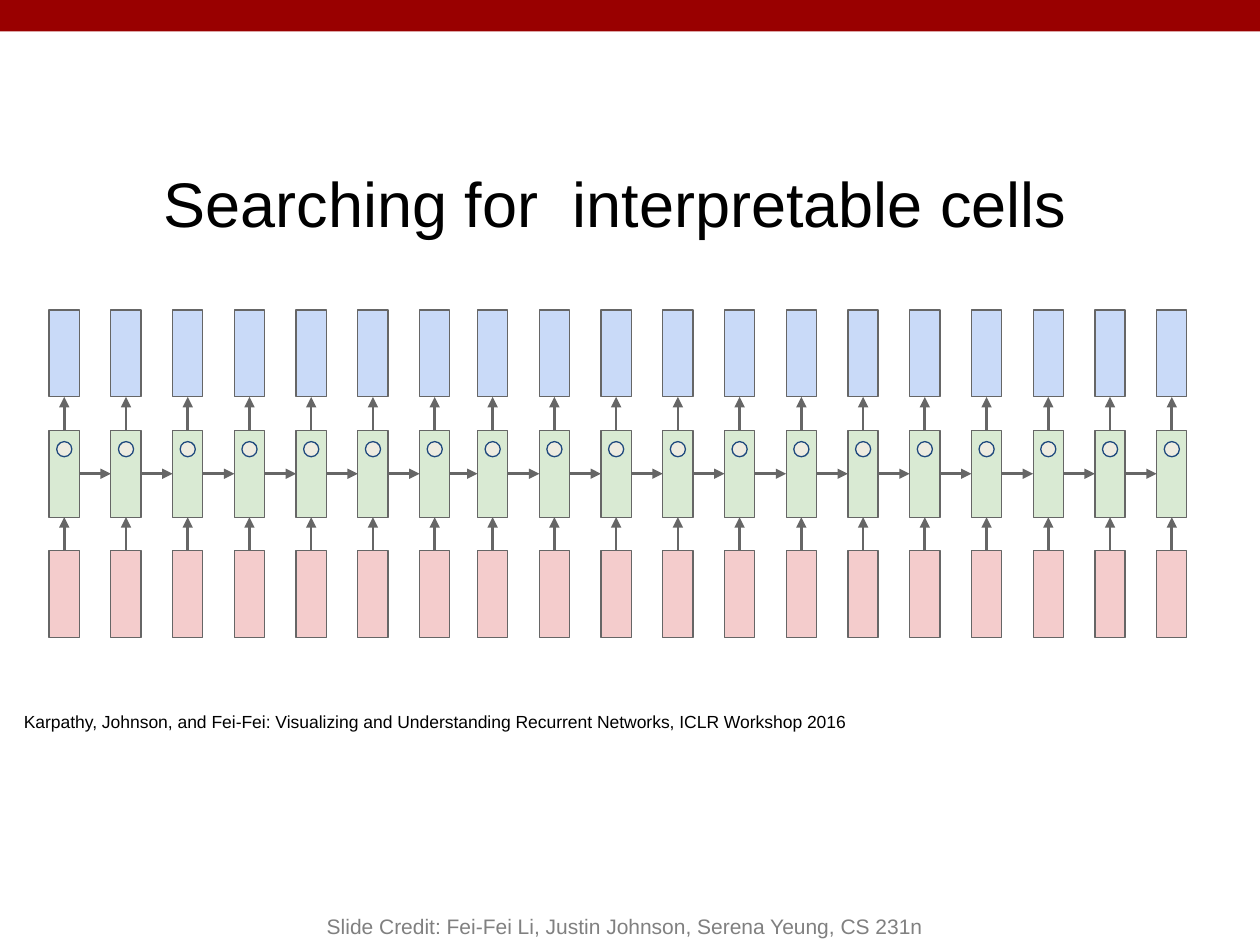
from pptx import Presentation
from pptx.dml.color import RGBColor as RGB
from pptx.enum.shapes import MSO_CONNECTOR as Link, MSO_SHAPE as Kind
from pptx.enum.text import MSO_ANCHOR as Anchor, PP_ALIGN as Align
from pptx.oxml.ns import qn
from pptx.util import Inches, Pt
from lxml.etree import SubElement

# Content: text, box, inset, size, colour, alignment, anchor
TEXTS = [
    ("Searching for  interpretable cells",
     (1.2, 1.21, 8.29, 0.66), 0.1, "title", "ink", Align.LEFT, Anchor.TOP),
    ("Karpathy, Johnson, and Fei-Fei: Visualizing and Understanding "
     "Recurrent Networks, ICLR Workshop 2016",
     (0.09, 5.56, 9.21, 0.38), 0.1, "cite", "ink", Align.LEFT, Anchor.TOP),
    ("Slide Credit: Fei-Fei Li, Justin Johnson, Serena Yeung, CS 231n",
     (2, 7, 5.92, 0.5), 0.05, "credit", "grey", Align.CENTER, Anchor.BOTTOM),
]
LAYERS = ["output", "hidden", "input"]  # top to bottom
GROUPS = [(0.39, 7), (3.79, 12)]        # left edge, number of steps

THEME = {
    "font": "Arial",
    "title": 36, "cite": 10, "credit": 12,
    "ink": "000000", "grey": "808080", "bar": "990000",
    "output": "C9DAF8", "hidden": "D9EAD3", "input": "F4CCCC",
    "edge": "666666", "cell": "EEECE1", "ring": "1F497D",
    "thin": 0.75, "thick": 1.5,
}

# Grid, in inches
WIDE, HIGH = 10, 7.5
PITCH, TOP, ROW = 0.49, 2.46, 0.955
BOX_W, BOX_H = 0.24, 0.69
DOT, DROP = 0.12, 0.09

deck = Presentation()
deck.slide_width, deck.slide_height = Inches(WIDE), Inches(HIGH)
slide = deck.slides.add_slide(deck.slide_layouts[6])
parts = slide.shapes


def tint(name):
    return RGB.from_string(THEME[name])


def draw(kind, box, fill, edge=None):
    shape = parts.add_shape(kind, *map(Inches, box))
    shape.shadow.inherit = False
    shape.fill.solid()
    shape.fill.fore_color.rgb = tint(fill)
    if edge:
        shape.line.color.rgb = tint(edge)
        shape.line.width = Pt(THEME["thin"])
    else:
        shape.line.fill.background()
    return shape


def join(start, out, end, into):
    """Arrow from one side of a box to a side of another."""
    arrow = parts.add_connector(Link.STRAIGHT, 0, 0, 0, 0)
    arrow.begin_connect(start, out)
    arrow.end_connect(end, into)
    arrow.line.color.rgb = tint("edge")
    arrow.line.width = Pt(THEME["thick"])
    SubElement(arrow.line._get_or_add_ln(), qn("a:tailEnd"), type="triangle")
    SubElement(arrow._element.spPr, qn("a:effectLst"))


def write(text, box, inset, size, ink, align, anchor):
    frame = parts.add_textbox(*map(Inches, box)).text_frame
    frame.word_wrap = True
    frame.vertical_anchor = anchor
    frame.margin_left = frame.margin_right = Inches(0.1)
    frame.margin_top = frame.margin_bottom = Inches(inset)
    para = frame.paragraphs[0]
    para.alignment = align
    run = para.add_run()
    run.text = text
    run.font.name = THEME["font"]
    run.font.size = Pt(THEME[size])
    run.font.color.rgb = tint(ink)


# Top bar
draw(Kind.RECTANGLE, (0, 0, WIDE, 0.25), "bar")

# Unrolled network: one column per step
steps = [left + PITCH * i for left, count in GROUPS for i in range(count)]
last = None
for x in steps:
    top, mid, low = [
        draw(Kind.RECTANGLE, (x, TOP + ROW * i, BOX_W, BOX_H), layer, "edge")
        for i, layer in enumerate(LAYERS)]
    join(low, 0, mid, 2)
    join(mid, 0, top, 2)
    if last:
        join(last, 3, mid, 1)
    last = mid

# The watched cell in each hidden state
for x in steps:
    draw(Kind.OVAL, (x + (BOX_W - DOT) / 2, TOP + ROW + DROP, DOT, DOT),
         "cell", "ring")

# Title, citation and credit
for item in TEXTS:
    write(*item)

deck.save("out.pptx")
